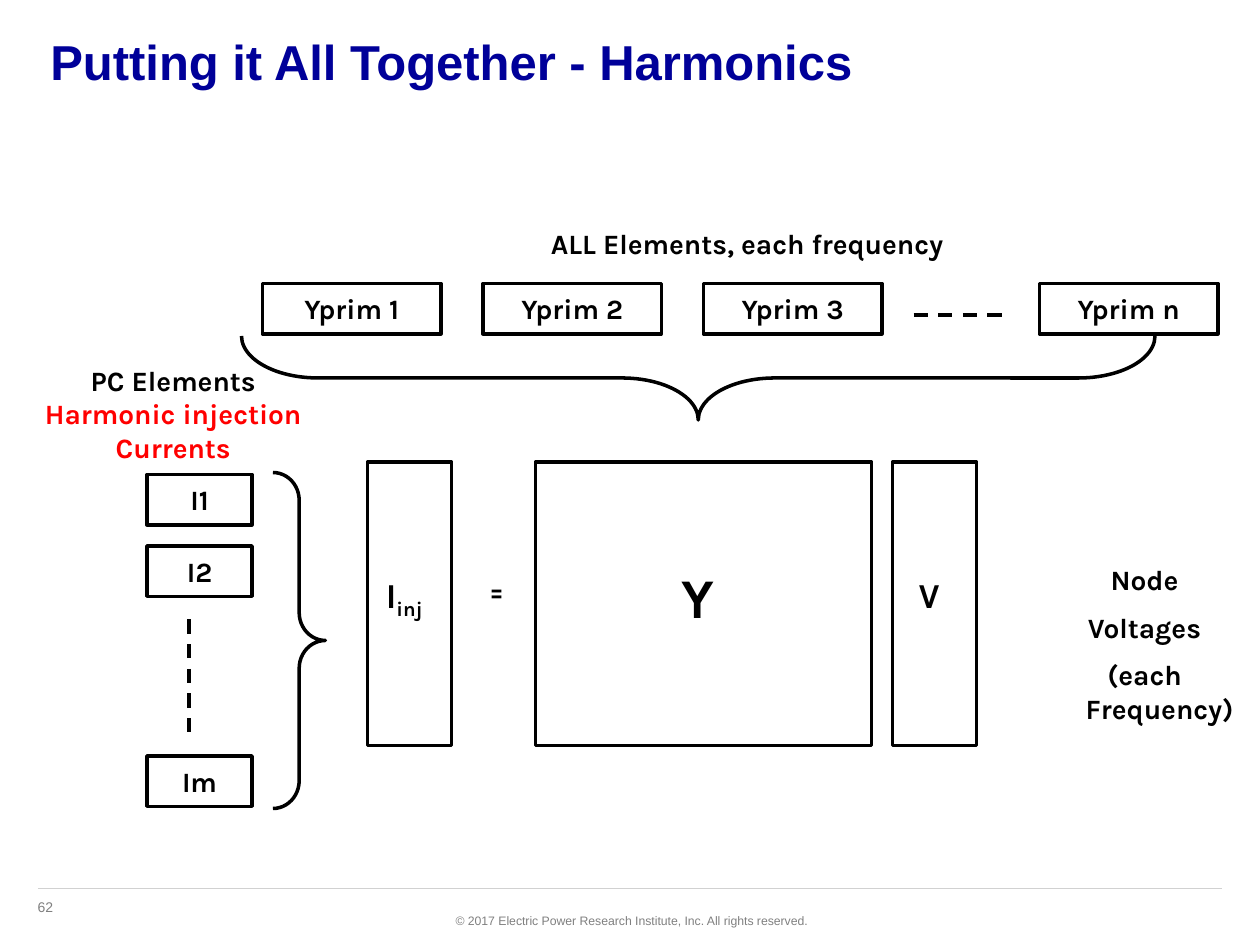
from pptx import Presentation
from pptx.dml.color import RGBColor
from pptx.enum.dml import MSO_LINE
from pptx.enum.shapes import MSO_CONNECTOR, MSO_SHAPE
from pptx.enum.text import MSO_ANCHOR, PP_ALIGN
from pptx.oxml.ns import qn
from pptx.util import Pt
from lxml import etree

BLACK = RGBColor(0, 0, 0)
WHITE = RGBColor(255, 255, 255)
RED = RGBColor(255, 0, 0)
NAVY = RGBColor(0, 0, 0x99)
GREY = RGBColor(0x80, 0x80, 0x80)
RULE = RGBColor(0xD1, 0xD1, 0xD1)
LEFT, CENTER, RIGHT = PP_ALIGN.LEFT, PP_ALIGN.CENTER, PP_ALIGN.RIGHT
TOP, MIDDLE = MSO_ANCHOR.TOP, MSO_ANCHOR.MIDDLE
RECT, BRACE = MSO_SHAPE.RECTANGLE, MSO_SHAPE.RIGHT_BRACE
STRAIGHT, DASH = MSO_CONNECTOR.STRAIGHT, MSO_LINE.DASH
HANG = 17.28


def write(tf, *paragraphs, size=16, font="Karla", color=BLACK, bold=True,
          align=CENTER, anchor=TOP, hang=HANG, wrap=True):
    """Each paragraph is a string or a list of (text, overrides) runs."""
    tf.word_wrap = wrap
    tf.vertical_anchor = anchor
    for i, runs in enumerate(paragraphs):
        p = tf.paragraphs[0] if i == 0 else tf.add_paragraph()
        p.alignment = align
        p.space_before = Pt(8 if i else 0)
        if hang:
            pPr = p._p.get_or_add_pPr()
            pPr.set("marL", str(Pt(hang)))
            pPr.set("indent", str(-Pt(hang)))
        for text, look in [(runs, {})] if isinstance(runs, str) else runs:
            if look.get("new_line"):
                p.add_line_break()
            r = p.add_run()
            r.text = text
            f = r.font
            f.name, f.size, f.bold = font, Pt(size), bold
            f.color.rgb = look.get("color", color)
            if "baseline" in look:
                r._r.get_or_add_rPr().set("baseline", str(look["baseline"]))


class Diagram:
    def __init__(self, s, stroke=2):
        self.s = s
        self.stroke = stroke

    def title(self, text, x, y, w, h):
        sp = self.s.shapes.title
        sp.left, sp.top, sp.width, sp.height = Pt(x), Pt(y), Pt(w), Pt(h)
        write(sp.text_frame, text, size=28, font="Arial", color=NAVY,
              align=LEFT, hang=0)

    def shape(self, kind, x, y, w, h, fill=None, outlined=True):
        sp = self.s.shapes.add_shape(kind, Pt(x), Pt(y), Pt(w), Pt(h))
        sp.shadow.inherit = False
        if fill is None:
            sp.fill.background()
        else:
            sp.fill.solid()
            sp.fill.fore_color.rgb = fill
        if outlined:
            sp.line.color.rgb = BLACK
            sp.line.width = Pt(self.stroke)
        else:
            sp.line.fill.background()
        return sp

    def box(self, x, y, w, h, *paragraphs):
        sp = self.shape(RECT, x, y, w, h)
        if paragraphs:
            write(sp.text_frame, *paragraphs, anchor=MIDDLE)

    def caption(self, x, y, w, h, *paragraphs, **look):
        sp = self.shape(RECT, x, y, w, h, fill=WHITE, outlined=False)
        write(sp.text_frame, *paragraphs, **look)

    def brace(self, x, y, w, h, curve, rotation=0):
        sp = self.shape(BRACE, x, y, w, h)
        sp.adjustments[0] = curve
        sp.adjustments[1] = 0.5
        sp.rotation = rotation

    def text(self, x, y, w, h, *paragraphs, **look):
        sp = self.s.shapes.add_textbox(Pt(x), Pt(y), Pt(w), Pt(h))
        write(sp.text_frame, *paragraphs, **look)

    def line(self, x1, y1, x2, y2, color=BLACK, width=None, dash=None):
        c = self.s.shapes.add_connector(STRAIGHT, Pt(x1), Pt(y1), Pt(x2), Pt(y2))
        c.line.color.rgb = color
        c.line.width = Pt(width or self.stroke)
        if dash:
            c.line.dash_style = dash
        etree.SubElement(c._element.spPr, qn("a:effectLst"))


def main():
    prs = Presentation()
    prs.slide_width, prs.slide_height = Pt(720), Pt(540)
    d = Diagram(prs.slides.add_slide(prs.slide_layouts[5]))

    # Title and footer
    d.title("Putting it All Together - Harmonics", 21.6, 14.4, 676.8, 57.6)
    small = dict(font="Arial", color=GREY, bold=False, hang=0)
    d.text(14.4, 509.8, 47.5, 17, "62", size=8, align=LEFT, **small)
    d.line(21.6, 507.6, 698.4, 507.6, color=RULE, width=0.75)
    d.text(251.3, 518.4, 217.4, 16,
           "© 2017 Electric Power Research Institute, Inc. All rights reserved.",
           size=7, align=RIGHT, wrap=False, **small)

    # Primitive admittance matrices
    for i in range(3):
        d.box(150 + 126 * i, 162, 102, 28.8, f"Yprim {i + 1}")
    d.box(594, 162, 102, 28.8, "Yprim n")
    d.line(522, 180, 576, 180, dash=DASH)
    d.caption(300, 126, 258, 26.6, "ALL Elements, each frequency ")

    # Matrix equation
    for x, w in ((306, 192), (210, 48), (510, 48)):
        d.box(x, 264, w, 162)
    d.text(360, 318, 78, 45.4, "Y", size=32)
    d.text(270, 324, 27.4, 26.6, "=", wrap=False)
    d.text(192, 324, 78, 31, [("I", {}), ("inj", {"baseline": -25000})], size=20)
    d.text(492, 324, 78, 31, "V", size=20)
    d.text(588, 318, 132, 103.7, "Node", "Voltages", "(each Frequency)")

    # Injection currents
    d.caption(18, 204, 162, 64.8,
              [("PC Elements", {}),
               ("Harmonic injection Currents", {"color": RED, "new_line": True})],
              hang=0)
    for label, y in (("I1", 271.2), ("I2", 312), ("Im", 432)):
        d.box(84, y, 60, 28.8, label)
    d.line(108, 354, 108, 420, dash=DASH)

    # Braces that gather the elements
    d.brace(156, 270, 30, 192, 0.53)
    d.brace(375, -45, 48, 522, 0.91, rotation=90)

    prs.save("out.pptx")


if __name__ == "__main__":
    main()
